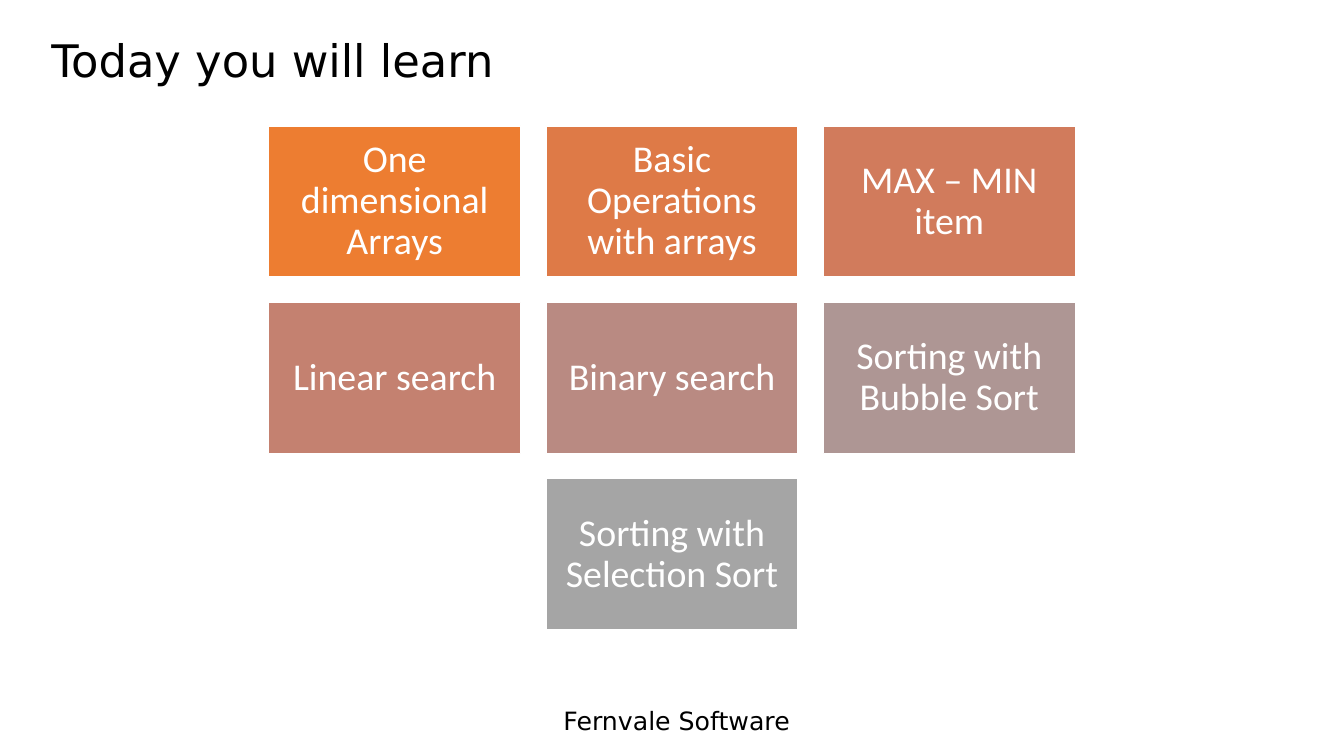
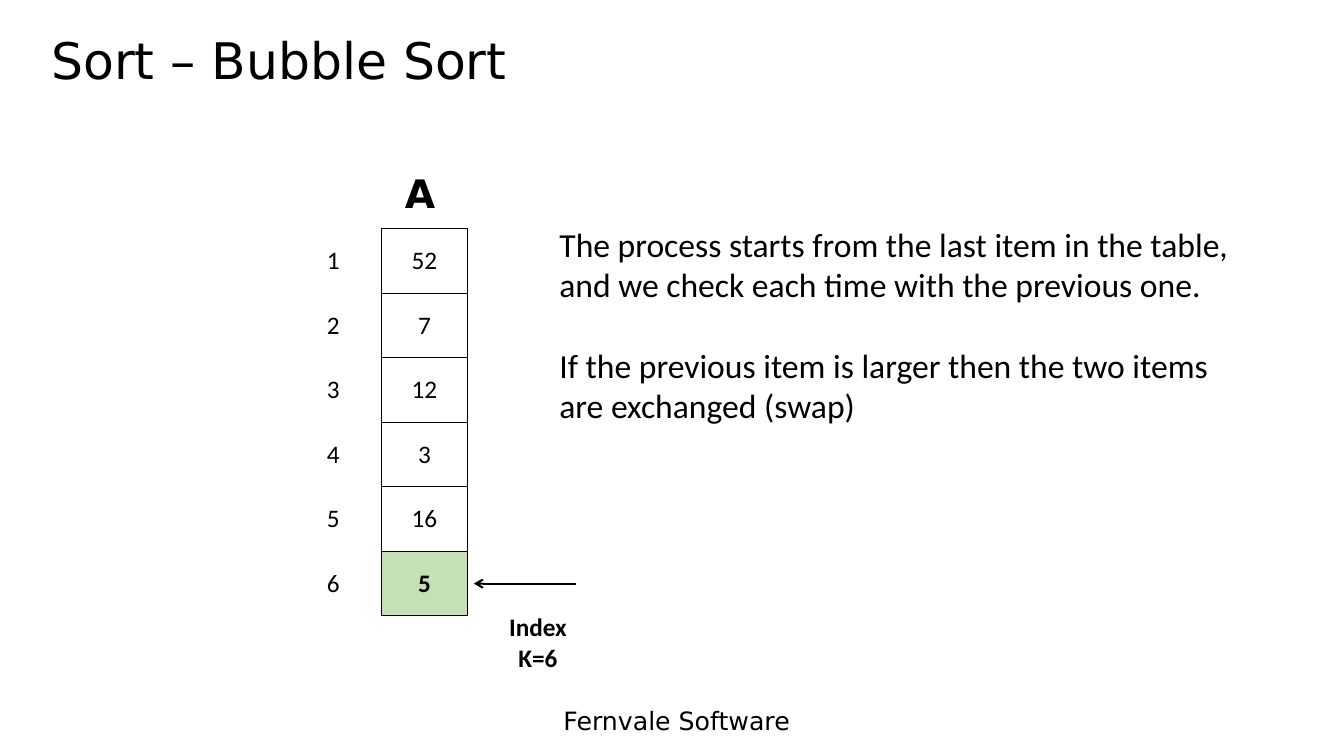
from pptx import Presentation
from pptx.dml.color import RGBColor
from pptx.enum.shapes import MSO_CONNECTOR, MSO_SHAPE
from pptx.enum.text import MSO_ANCHOR, PP_ALIGN
from pptx.oxml import parse_xml
from pptx.oxml.ns import nsdecls
from pptx.util import Inches, Pt

BLACK = RGBColor(0x00, 0x00, 0x00)
WHITE = RGBColor(0xFF, 0xFF, 0xFF)
GREEN = RGBColor(0xC5, 0xE0, 0xB4)
ORANGE = RGBColor(0xED, 0x7D, 0x31)
COPPER = RGBColor(0xDE, 0x7A, 0x47)
TERRACOTTA = RGBColor(0xD1, 0x7B, 0x5C)
CLAY = RGBColor(0xC4, 0x81, 0x70)
ROSE = RGBColor(0xB9, 0x8A, 0x82)
MAUVE = RGBColor(0xAE, 0x96, 0x94)
GRAY = RGBColor(0xA5, 0xA5, 0xA5)

HEAD_FONT = "DejaVu Sans"
BODY_FONT = "Calibri"
SLIDE_W, SLIDE_H = 13.33, 7.5
TILE_W, TILE_H, TILE_GAP = 2.5, 1.5, 0.25
TILE_TOP = 1.25
TABLE_TOP, ROW_H = 2.27, 0.64

TOPIC_ROWS = [
    [("One dimensional Arrays", ORANGE),
     ("Basic Operations with arrays", COPPER),
     ("MAX – MIN item", TERRACOTTA)],
    [("Linear search", CLAY),
     ("Binary search", ROSE),
     ("Sorting with Bubble Sort", MAUVE)],
    [("Sorting with Selection Sort", GRAY)],
]
ARRAY_VALUES = [52, 7, 12, 3, 16, 5]


def write(tf, *paragraphs, size=18, font=BODY_FONT, color=BLACK, bold=False,
          align=PP_ALIGN.LEFT, spacing=1.0, gap=0):
    tf.word_wrap = True
    for i, text in enumerate(paragraphs):
        p = tf.add_paragraph() if i else tf.paragraphs[0]
        p.alignment = align
        p.line_spacing = spacing
        p.space_before = Pt(gap if i else 0)
        r = p.add_run()
        r.text = text
        r.font.size = Pt(size)
        r.font.name = font
        r.font.bold = bold
        r.font.color.rgb = color


def add_text(s, left, top, width, height, *paragraphs, **style):
    sp = s.shapes.add_textbox(Inches(left), Inches(top), Inches(width), Inches(height))
    write(sp.text_frame, *paragraphs, **style)


def setup_layout(prs):
    layout = prs.slide_layouts.get_by_name("Title Only")
    title = layout.placeholders[0]
    title.left, title.top = Inches(0.41), Inches(0.15)
    title.width, title.height = Inches(12.01), Inches(0.95)
    title.text_frame.vertical_anchor = MSO_ANCHOR.MIDDLE
    return layout


def add_slide(prs, layout, title, size):
    s = prs.slides.add_slide(layout)
    write(s.shapes.title.text_frame, title, size=size, font=HEAD_FONT, spacing=0.9)
    add_text(s, 5.49, 6.95, 2.9, 0.4, "Fernvale Software", font=HEAD_FONT)
    return s


def add_tile(s, left, top, text, color):
    sp = s.shapes.add_shape(MSO_SHAPE.RECTANGLE, Inches(left), Inches(top),
                            Inches(TILE_W), Inches(TILE_H))
    sp.shadow.inherit = False
    sp.fill.solid()
    sp.fill.fore_color.rgb = color
    sp.line.color.rgb = WHITE
    sp.line.width = Pt(1)
    tf = sp.text_frame
    tf.vertical_anchor = MSO_ANCHOR.MIDDLE
    tf.margin_left = tf.margin_right = tf.margin_top = tf.margin_bottom = Inches(0.11)
    write(tf, text, size=27, color=WHITE, align=PP_ALIGN.CENTER, spacing=0.9)


def add_tile_grid(s, rows):
    for i, row in enumerate(rows):
        row_w = len(row) * (TILE_W + TILE_GAP) - TILE_GAP
        left = (SLIDE_W - row_w) / 2
        for j, (text, color) in enumerate(row):
            add_tile(s, left + j * (TILE_W + TILE_GAP),
                     TILE_TOP + i * (TILE_H + TILE_GAP), text, color)


def set_borders(cell):
    tc_pr = cell._tc.get_or_add_tcPr()
    for side in ("lnL", "lnR", "lnT", "lnB"):
        tc_pr.append(parse_xml(
            f'<a:{side} {nsdecls("a")} w="{Pt(1)}"><a:solidFill>'
            f'<a:srgbClr val="{BLACK}"/></a:solidFill></a:{side}>'))


def add_column(s, left, width, values, bordered=False, highlight=None):
    frame = s.shapes.add_table(len(values), 1, Inches(left), Inches(TABLE_TOP),
                               Inches(width), Inches(ROW_H * len(values)))
    table = frame.table
    table.first_row = table.horz_banding = False
    for i, value in enumerate(values):
        cell = table.cell(i, 0)
        cell.vertical_anchor = MSO_ANCHOR.MIDDLE
        if bordered:
            set_borders(cell)
        if i == highlight:
            cell.fill.solid()
            cell.fill.fore_color.rgb = GREEN
        else:
            cell.fill.background()
        write(cell.text_frame, str(value), bold=i == highlight, align=PP_ALIGN.CENTER)


def add_arrow(s, x1, y1, x2, y2):
    line = s.shapes.add_connector(MSO_CONNECTOR.STRAIGHT, Inches(x1), Inches(y1),
                                  Inches(x2), Inches(y2))
    line.line.color.rgb = BLACK
    line.line.width = Pt(1.5)
    line.line._get_or_add_ln().append(
        parse_xml(f'<a:tailEnd {nsdecls("a")} type="arrow"/>'))
    line._element.spPr.append(parse_xml(f'<a:effectLst {nsdecls("a")}/>'))


def build_topics(prs, layout):
    s = add_slide(prs, layout, "Today you will learn", 32)
    add_tile_grid(s, TOPIC_ROWS)


def build_bubble_sort(prs, layout):
    s = add_slide(prs, layout, "Sort – Bubble Sort", 36)
    count = len(ARRAY_VALUES)
    add_column(s, 3.78, 0.86, ARRAY_VALUES, bordered=True, highlight=count - 1)
    add_text(s, 3.54, 1.63, 1.25, 0.57, "A", size=28, font=HEAD_FONT, bold=True,
             align=PP_ALIGN.CENTER)
    add_column(s, 3.07, 0.47, range(1, count + 1))
    arrow_y = TABLE_TOP + (count - 0.5) * ROW_H
    add_arrow(s, 5.71, arrow_y, 4.7, arrow_y)
    add_text(s, 5.45, 2.17, 6.96, 2.52,
             "The process starts from the last item in the table, "
             "and we check each time with the previous one.",
             "If the previous item is larger then the two items are exchanged (swap)",
             size=24, gap=29)
    add_text(s, 4.79, 6.02, 1.09, 0.71, "Index Κ=6", bold=True, align=PP_ALIGN.CENTER)


def main():
    prs = Presentation()
    prs.slide_width, prs.slide_height = Inches(SLIDE_W), Inches(SLIDE_H)
    layout = setup_layout(prs)
    build_topics(prs, layout)
    build_bubble_sort(prs, layout)
    prs.save("out.pptx")


if __name__ == "__main__":
    main()
